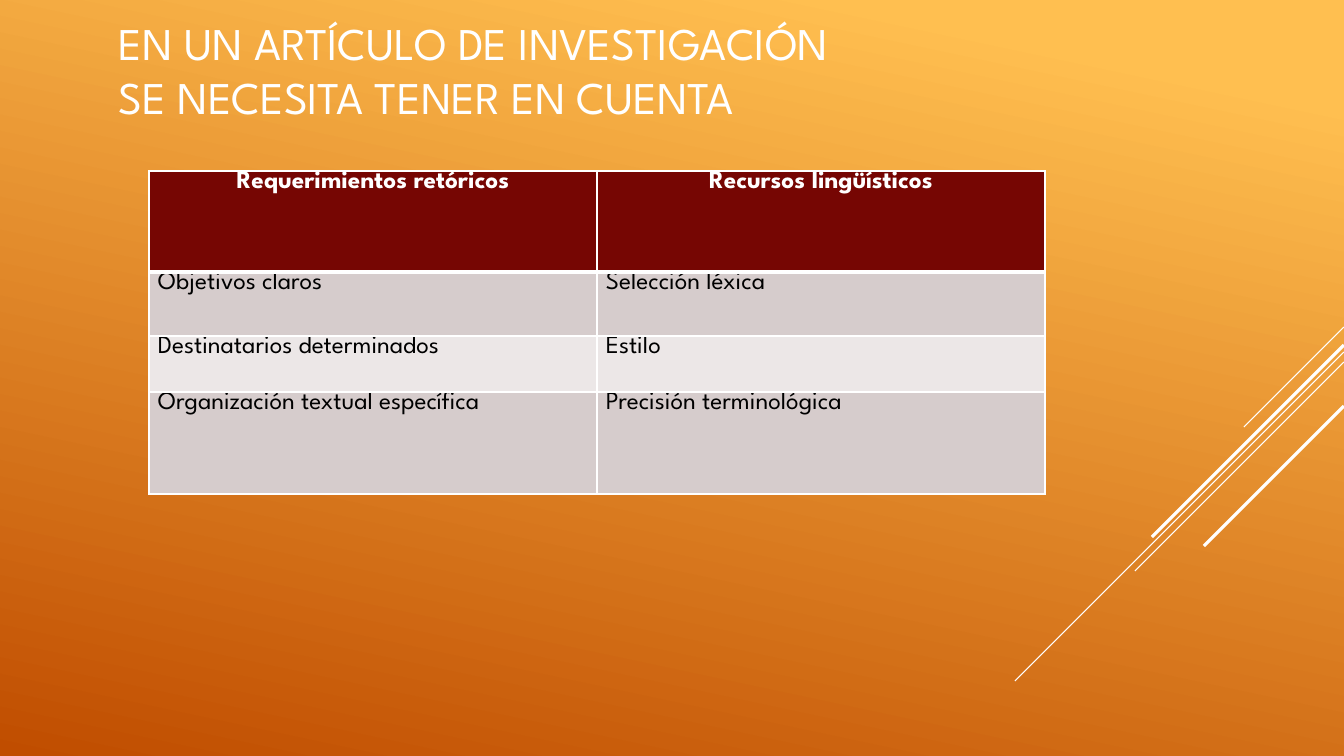
from lxml.etree import SubElement
from pptx import Presentation
from pptx.dml.color import RGBColor
from pptx.enum.shapes import MSO_CONNECTOR
from pptx.enum.text import MSO_ANCHOR, PP_ALIGN
from pptx.oxml.ns import qn
from pptx.util import Emu, Pt

COLORS = {
    "white": "FFFFFF",
    "black": "000000",
    "amber": "FFBF50",
    "rust": "C04D00",
    "maroon": "760603",
    "rose": "D6CCCC",
    "pale": "ECE7E7",
}
SLIDE_WIDTH, SLIDE_HEIGHT = 1344, 756
TITLE_LINES = ["EN UN ARTÍCULO DE INVESTIGACIÓN", "SE NECESITA TENER EN CUENTA"]
TABLE_ROWS = [
    ("Requerimientos retóricos", "Recursos lingüísticos"),
    ("Objetivos claros", "Selección léxica"),
    ("Destinatarios determinados", "Estilo"),
    ("Organización textual específica", "Precisión terminológica"),
]
ROW_HEIGHTS = [101, 64, 56, 102]
DIAGONALS = [
    (327, 100, 0.75),
    (352, 329, 0.75),
    (362, 209, 0.75),
    (345, 192, 2.25),
    (406, 140, 2.25),
]


def px(length):
    return Emu(round(length * 914400 / 100.8))


def color(name):
    return RGBColor.from_string(COLORS[name])


class SlideBuilder:
    font_name = "League Spartan"

    def __init__(self, slide):
        self.slide = slide

    def background(self, start, end, angle):
        fill = self.slide.background.fill
        fill.gradient()
        fill.gradient_angle = angle
        for stop, name, position in zip(fill.gradient_stops, (start, end), (0.1, 1)):
            stop.color.rgb = color(name)
            stop.position = position

    def diagonal(self, top, length, width):
        connector = self.slide.shapes.add_connector(
            MSO_CONNECTOR.STRAIGHT,
            px(SLIDE_WIDTH), px(top), px(SLIDE_WIDTH - length), px(top + length),
        )
        connector.line.color.rgb = color("white")
        connector.line.width = Pt(width)
        SubElement(connector._element.spPr, qn("a:effectLst"))

    def run(self, paragraph, text, size, name, bold=False):
        run = paragraph.add_run()
        run.text = text
        run.font.name = self.font_name
        run.font.size = Pt(size)
        run.font.bold = bold
        run.font.color.rgb = color(name)

    def title(self, lines, left, top, width, height):
        shape = self.slide.shapes.add_textbox(px(left), px(top), px(width), px(height))
        frame = shape.text_frame
        frame.word_wrap = True
        frame.vertical_anchor = MSO_ANCHOR.MIDDLE
        paragraph = frame.paragraphs[0]
        for index, line in enumerate(lines):
            if index:
                paragraph.add_line_break()
            self.run(paragraph, line, 32.4, "white")

    def borders(self, cell, top, bottom):
        properties = cell._tc.get_or_add_tcPr()
        for side, width in (("L", 1), ("R", 1), ("T", top), ("B", bottom)):
            line = SubElement(properties, qn(f"a:ln{side}"), w=str(Pt(width)))
            fill = SubElement(line, qn("a:solidFill"))
            SubElement(fill, qn("a:srgbClr"), val=COLORS["white"])

    def table(self, rows, heights, left, top, width):
        shape = self.slide.shapes.add_table(
            len(rows), len(rows[0]), px(left), px(top), px(width), px(sum(heights))
        )
        table = shape.table
        for column in table.columns:
            column.width = px(width / len(rows[0]))
        for index, (texts, height) in enumerate(zip(rows, heights)):
            table.rows[index].height = px(height)
            header = index == 0
            fill_name = "maroon" if header else ("pale", "rose")[index % 2]
            for cell, text in zip(table.rows[index].cells, texts):
                cell.margin_left = cell.margin_right = px(9)
                cell.margin_top = cell.margin_bottom = 0
                self.borders(cell, 3 if index == 1 else 1, 3 if header else 1)
                cell.fill.solid()
                cell.fill.fore_color.rgb = color(fill_name)
                paragraph = cell.text_frame.paragraphs[0]
                paragraph.alignment = PP_ALIGN.CENTER if header else PP_ALIGN.LEFT
                self.run(paragraph, text, 18, "white" if header else "black", header)


def main():
    presentation = Presentation()
    presentation.slide_width = px(SLIDE_WIDTH)
    presentation.slide_height = px(SLIDE_HEIGHT)
    builder = SlideBuilder(presentation.slides.add_slide(presentation.slide_layouts[6]))
    builder.background("amber", "rust", 258)
    for diagonal in DIAGONALS:
        builder.diagonal(*diagonal)
    builder.title(TITLE_LINES, 109, 0, 911, 139)
    builder.table(TABLE_ROWS, ROW_HEIGHTS, 149, 171, 896)
    presentation.save("out.pptx")


if __name__ == "__main__":
    main()
